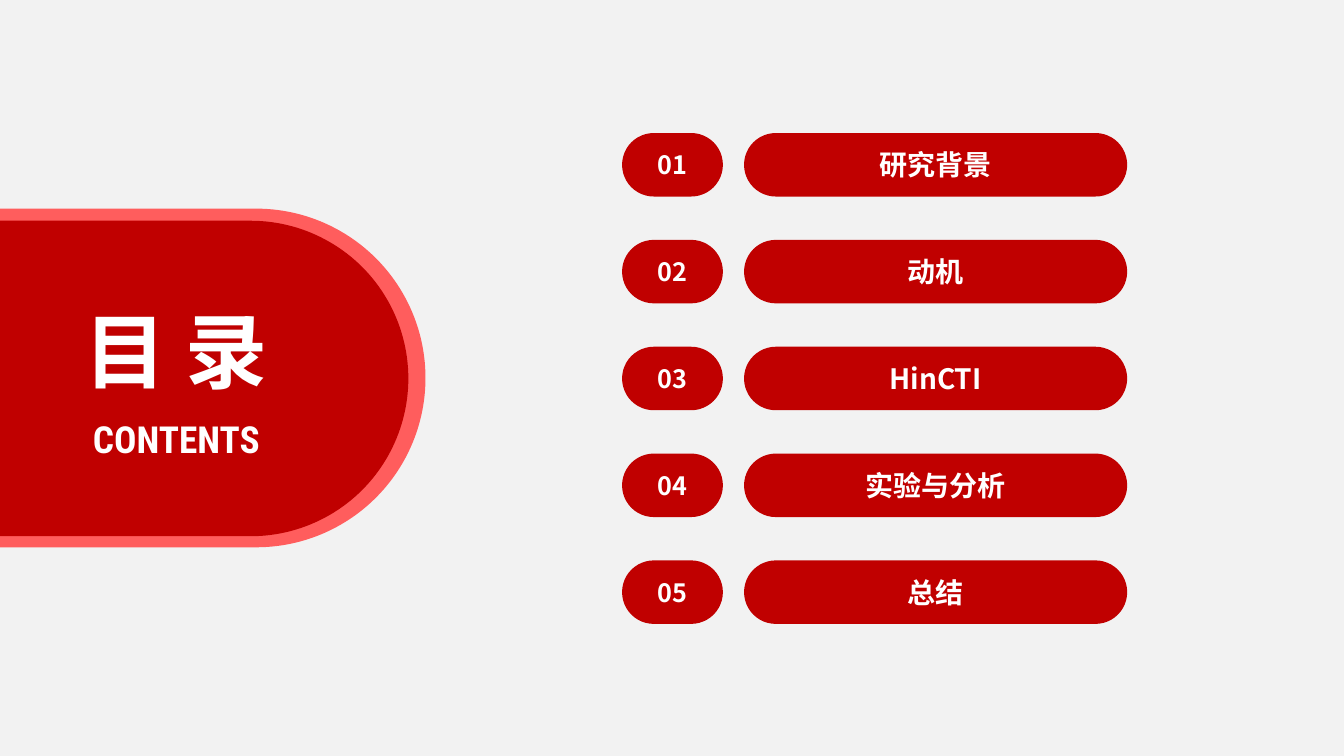
from pptx import Presentation
from pptx.dml.color import RGBColor
from pptx.enum.shapes import MSO_SHAPE
from pptx.enum.text import MSO_ANCHOR, PP_ALIGN
from pptx.oxml.ns import qn
from pptx.util import Inches, Pt
from lxml.etree import SubElement

RED, PINK, GREY, WHITE = "C00000", "FF5D5D", "F2F2F2", "FFFFFF"
SANS, NARROW = "Noto Sans CJK SC", "Roboto Condensed"


def color(code):
    return RGBColor.from_string(code)


class Deck:
    def __init__(self):
        self.prs = Presentation()
        self.prs.slide_width = Inches(13.33)
        self.prs.slide_height = Inches(7.5)
        self.slide = self.prs.slides.add_slide(self.prs.slide_layouts[6])

    def back(self, code):
        fill = self.slide.background.fill
        fill.solid()
        fill.fore_color.rgb = color(code)

    def letter(self, frame, text, size, face=SANS):
        para = frame.paragraphs[0]
        para.text = text
        para.alignment = PP_ALIGN.CENTER
        font = para.font
        font.name, font.size, font.bold = face, Pt(size), True
        font.color.rgb = color(WHITE)
        # Chinese glyphs take their own typeface entry
        props = para._p.get_or_add_pPr().get_or_add_defRPr()
        SubElement(props, qn("a:ea")).set("typeface", face)

    def pill(self, box, code, text=None, size=18):
        shape = self.slide.shapes.add_shape(
            MSO_SHAPE.ROUNDED_RECTANGLE, *map(Inches, box))
        shape.adjustments[0] = 0.5
        shape.shadow.inherit = False
        shape.fill.solid()
        shape.fill.fore_color.rgb = color(code)
        shape.line.fill.background()
        if text:
            shape.text_frame.vertical_anchor = MSO_ANCHOR.MIDDLE
            self.letter(shape.text_frame, text, size)

    def label(self, box, text, size, face=SANS):
        frame = self.slide.shapes.add_textbox(*map(Inches, box)).text_frame
        frame.word_wrap = False
        self.letter(frame, text, size, face)


deck = Deck()
deck.back(GREY)

# Title tab bleeding off the left edge
deck.pill((-1.96, 2.07, 6.18, 3.36), PINK)
deck.pill((-1.7, 2.19, 5.75, 3.13), RED)
deck.label((0.7, 2.93, 2.09, 1.09), "目 录", 58.6)
deck.label((0.62, 4.08, 2.26, 0.55), "CONTENTS", 26.6, NARROW)

# Numbered list of topics
topics = ["研究背景", "动机", "HinCTI", "实验与分析", "总结"]
top, step, high = 1.32, 1.06, 0.63
for row, topic in enumerate(topics):
    y = top + row * step
    deck.pill((6.17, y, 1, high), RED, f"{row + 1:02}", 18)
    deck.pill((7.38, y, 3.8, high), RED, topic, 20)

deck.prs.save("out.pptx")
